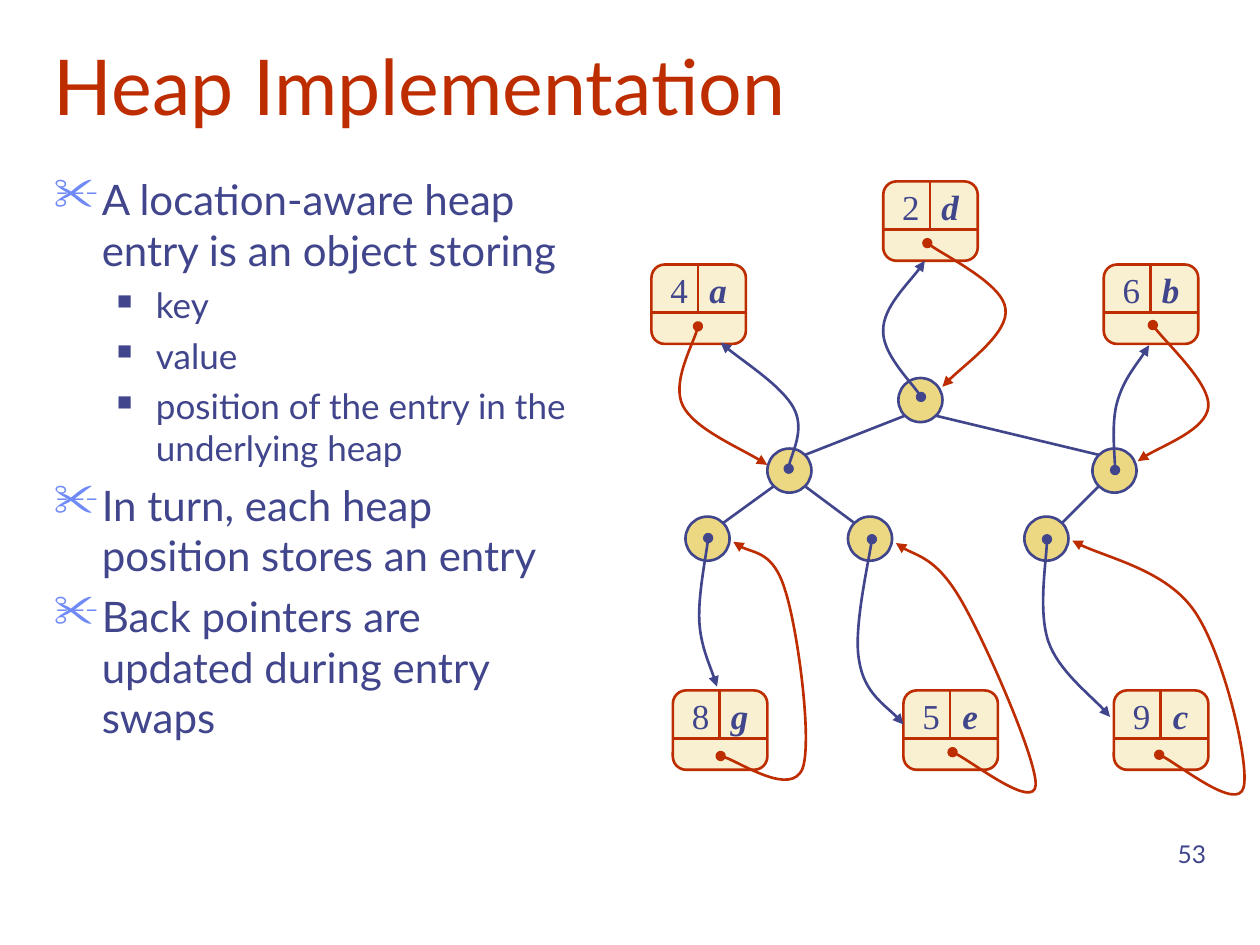
from typing import Any, NamedTuple

from lxml import etree
from pptx import Presentation
from pptx.dml.color import RGBColor
from pptx.enum.shapes import MSO_CONNECTOR, MSO_SHAPE
from pptx.enum.text import MSO_ANCHOR, MSO_AUTO_SIZE, PP_ALIGN
from pptx.oxml.ns import qn
from pptx.util import Emu, Pt

EMU_PER_PX = 9144  # 100 px to the inch
STRAIGHT = MSO_CONNECTOR.STRAIGHT
ELLIPSE = MSO_SHAPE.OVAL
CARD = MSO_SHAPE.ROUNDED_RECTANGLE
BOTTOM, TOP = MSO_ANCHOR.BOTTOM, MSO_ANCHOR.TOP
LEFT, CENTER, RIGHT = PP_ALIGN.LEFT, PP_ALIGN.CENTER, PP_ALIGN.RIGHT
FIT_SHAPE = MSO_AUTO_SIZE.SHAPE_TO_FIT_TEXT

RED = RGBColor(0xBE, 0x2D, 0x00)
NAVY = RGBColor(0x40, 0x45, 0x8C)
PERIWINKLE = RGBColor(0x6F, 0x89, 0xF7)
GOLD = RGBColor(0xEC, 0xD8, 0x82)
CREAM = RGBColor(0xF8, 0xF0, 0xD0)

LINE_WIDTH = Pt(1.5)
NODE_SIZE = 35
NODE_INSET = 5  # from the bounding box to the outline on the diagonal
CARD_WIDTH, CARD_HEIGHT, CARD_DIVIDER = 75, 63, 38
LABEL_WIDTH, LABEL_HEIGHT = 34, 44

TITLE_FONT = {"name": "Lato", "size": Pt(44)}
NUMBER_FONT = {"name": "Lato", "size": Pt(14)}
KEY_FONT = {"name": "Times New Roman", "size": Pt(20)}
VALUE_FONT = {**KEY_FONT, "bold": True, "italic": True}


class Node(NamedTuple):
    left: int
    top: int


class Entry(NamedTuple):
    left: int
    top: int
    key: str
    value: str


class Pointer(NamedTuple):
    """A start point, then two control points and an end for each curve."""
    color: RGBColor
    points: list[tuple[int, int]]


class BulletStyle(NamedTuple):
    character: str
    color: RGBColor
    percent: int
    margin: int
    hanging: int
    space_before: int
    size: int


BULLET_STYLES = [
    BulletStyle("✂", PERIWINKLE, 110, 38, 38, 6, 24),
    BulletStyle("■", NAVY, 60, 81, 31, 5, 20),
]
BULLETS = [
    (0, "A location-aware heap entry is an object storing"),
    (1, "key"),
    (1, "value"),
    (1, "position of the entry in the underlying heap"),
    (0, "In turn, each heap position stores an entry"),
    (0, "Back pointers are updated during entry swaps"),
]

NODES = [Node(713, 300), Node(609, 356), Node(867, 356),
         Node(544, 410), Node(673, 410), Node(813, 410)]
ENTRIES = [
    Entry(517, 210, "4", "a"), Entry(701, 144, "2", "d"),
    Entry(876, 210, "6", "b"), Entry(534, 548, "8", "g"),
    Entry(717, 548, "5", "e"), Entry(884, 548, "9", "c"),
]
POINTERS = [
    Pointer(RED, [(736, 193), (746, 201), (796, 226), (798, 245),
                  (801, 264), (759, 294), (748, 307)]),
    Pointer(RED, [(915, 258), (922, 269), (961, 305), (959, 323),
                  (957, 341), (914, 357), (903, 366)]),
    Pointer(RED, [(554, 259), (552, 270), (533, 304), (542, 322),
                  (551, 340), (595, 359), (609, 369)]),
    Pointer(RED, [(572, 600), (583, 602), (628, 632), (637, 610), (645, 588),
                  (633, 498), (623, 468), (614, 438), (590, 438), (582, 430)]),
    Pointer(RED, [(756, 597), (767, 601), (821, 643), (822, 623), (823, 603),
                  (781, 507), (762, 475), (743, 443), (722, 440), (711, 431)]),
    Pointer(RED, [(920, 599), (931, 603), (982, 644), (987, 625), (992, 606),
                  (971, 518), (948, 485), (926, 453), (871, 441), (851, 429)]),
    Pointer(NAVY, [(626, 372), (626, 364), (639, 341), (630, 324),
                   (621, 307), (584, 283), (572, 272)]),
    Pointer(NAVY, [(885, 373), (885, 364), (882, 334), (887, 318),
                   (892, 301), (907, 283), (912, 274)]),
    Pointer(NAVY, [(731, 315), (726, 306), (700, 280), (701, 262),
                   (701, 244), (727, 219), (734, 207)]),
    Pointer(NAVY, [(831, 428), (831, 442), (824, 485), (832, 509),
                   (840, 532), (871, 556), (881, 569)]),
    Pointer(NAVY, [(692, 428), (690, 444), (677, 501), (682, 525),
                   (686, 550), (710, 565), (717, 575)]),
    Pointer(NAVY, [(562, 427), (561, 438), (554, 473), (555, 493),
                   (556, 512), (566, 534), (569, 545)]),
]


def px(*lengths: int) -> list[Emu]:
    return [Emu(length * EMU_PER_PX) for length in lengths]


def set_line(shape: Any, color: RGBColor) -> None:
    shape.line.color.rgb = color
    shape.line.width = LINE_WIDTH


def write(paragraph: Any, text: str, color: RGBColor, font: dict[str, Any]) -> None:
    run = paragraph.add_run()
    run.text = text
    run.font.color.rgb = color
    for name, value in font.items():
        setattr(run.font, name, value)


def add_text(shapes: Any, box: tuple[int, ...], text: str, color: RGBColor,
             font: dict[str, Any], align: Any = LEFT, **frame_format: Any) -> None:
    frame = shapes.add_textbox(*px(*box)).text_frame
    for name, value in {"word_wrap": True, **frame_format}.items():
        setattr(frame, name, value)
    frame.paragraphs[0].alignment = align
    write(frame.paragraphs[0], text, color, font)


def add_bullets(shapes: Any) -> None:
    frame = shapes.add_textbox(*px(33, 133, 433, 525)).text_frame
    frame.word_wrap = True
    for index, (level, text) in enumerate(BULLETS):
        style = BULLET_STYLES[level]
        paragraph = frame.add_paragraph() if index else frame.paragraphs[0]
        paragraph.level = level
        paragraph.space_before = Pt(style.space_before)
        properties = paragraph._p.get_or_add_pPr()
        properties.set("marL", str(style.margin * EMU_PER_PX))
        properties.set("indent", str(-style.hanging * EMU_PER_PX))
        color = etree.SubElement(properties, qn("a:buClr"))
        etree.SubElement(color, qn("a:srgbClr"), val=str(style.color))
        etree.SubElement(properties, qn("a:buSzPct"), val=str(style.percent * 1000))
        etree.SubElement(properties, qn("a:buChar"), char=style.character)
        write(paragraph, text, NAVY, {"name": "Lato", "size": Pt(style.size)})


def add_line(shapes: Any, points: tuple[int, ...], color: RGBColor) -> None:
    line = shapes.add_connector(STRAIGHT, *px(*points))
    set_line(line, color)
    etree.SubElement(line._element.spPr, qn("a:effectLst"))


def add_filled(shapes: Any, kind: Any, box: tuple[int, ...],
               fill: RGBColor, outline: RGBColor) -> None:
    shape = shapes.add_shape(kind, *px(*box))
    shape.shadow.inherit = False
    shape.fill.solid()
    shape.fill.fore_color.rgb = fill
    set_line(shape, outline)


def add_edge(shapes: Any, parent: Node, child: Node) -> None:
    """Run from the parent's lower diagonal to the child's facing upper one."""
    near, far = NODE_INSET, NODE_SIZE - NODE_INSET
    start, end = (near, far) if child.left < parent.left else (far, near)
    add_line(shapes, (parent.left + start, parent.top + far,
                      child.left + end, child.top + near), NAVY)


def add_entry(shapes: Any, entry: Entry) -> None:
    left, top, key, value = entry
    middle, divider = left + CARD_WIDTH // 2, top + CARD_DIVIDER
    card = shapes.add_group_shape().shapes
    add_filled(card, CARD, (left, top, CARD_WIDTH, CARD_HEIGHT), CREAM, RED)
    add_line(card, (left, divider, left + CARD_WIDTH, divider), RED)
    add_line(card, (middle, top, middle, divider), RED)
    for offset, text, font in ((5, key, KEY_FONT), (36, value, VALUE_FONT)):
        add_text(shapes, (left + offset, top - 2, LABEL_WIDTH, LABEL_HEIGHT), text,
                 NAVY, font, CENTER, word_wrap=False, auto_size=FIT_SHAPE)


def add_pointer(shapes: Any, pointer: Pointer) -> None:
    """Draw a curved arrow by grouping each three segments into one Bézier."""
    start, *others = pointer.points
    builder = shapes.build_freeform(*start, scale=EMU_PER_PX)
    builder.add_line_segments(others, close=False)
    shape = builder.convert_to_shape()
    shape.shadow.inherit = False
    shape.fill.background()
    set_line(shape, pointer.color)
    outline = shape._element.spPr.find(qn("a:ln"))
    etree.SubElement(outline, qn("a:headEnd"), type="oval")
    etree.SubElement(outline, qn("a:tailEnd"), type="triangle")
    segments = list(shape._element.iter(qn("a:lnTo")))
    curve_path = segments[0].getparent()
    for first in range(0, len(segments), 3):
        curve = etree.SubElement(curve_path, qn("a:cubicBezTo"))
        for segment in segments[first:first + 3]:
            curve.append(segment[0])
            curve_path.remove(segment)


def main() -> None:
    presentation = Presentation()
    presentation.slide_width, presentation.slide_height = px(1000, 750)
    shapes = presentation.slides.add_slide(presentation.slide_layouts[6]).shapes
    add_text(shapes, (33, 17, 950, 92), "Heap Implementation", RED, TITLE_FONT,
             vertical_anchor=BOTTOM)
    add_bullets(shapes)
    add_text(shapes, (759, 644, 208, 50), "53", NAVY, NUMBER_FONT, RIGHT,
             vertical_anchor=BOTTOM)
    for index, node in enumerate(NODES):
        if index:
            add_edge(shapes, NODES[(index - 1) // 2], node)
        add_filled(shapes, ELLIPSE, (*node, NODE_SIZE, NODE_SIZE), GOLD, NAVY)
    for entry in ENTRIES:
        add_entry(shapes, entry)
    for pointer in POINTERS:
        add_pointer(shapes, pointer)
    presentation.save("out.pptx")


if __name__ == "__main__":
    main()
